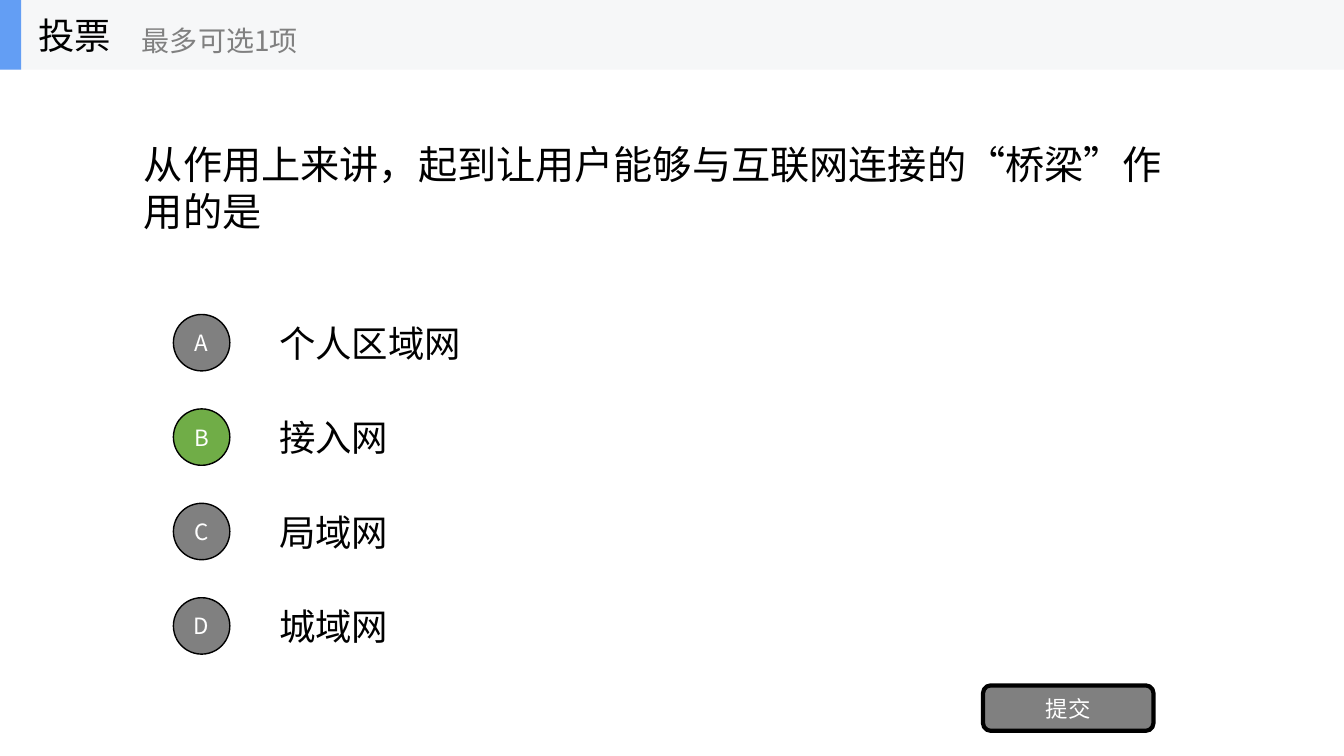
from dataclasses import dataclass

from lxml.etree import SubElement
from pptx import Presentation
from pptx.dml.color import RGBColor
from pptx.enum.shapes import MSO_SHAPE as Shape
from pptx.enum.text import MSO_ANCHOR as Anchor, PP_ALIGN as Align
from pptx.oxml.ns import qn
from pptx.util import Inches, Pt


@dataclass(frozen=True)
class Theme:
    """Colours, font and type sizes of the slide."""
    font: str = "Noto Sans CJK SC"
    ink: str = "000000"
    grey: str = "808080"
    white: str = "FFFFFF"
    chosen: str = "70AD47"
    band: str = "F6F7F8"
    accent: str = "639EF4"
    question_size: int = 28
    body_size: int = 26
    hint_size: int = 20
    label_size: int = 16


THEME = Theme()
OPTIONS = [("A", "个人区域网"), ("B", "接入网"), ("C", "局域网"), ("D", "城域网")]
ANSWER = "B"


def write(shape, text, size, color, align=Align.LEFT, wrap=True):
    """Fill a shape with one vertically centred paragraph."""
    frame = shape.text_frame
    frame.word_wrap = wrap
    frame.vertical_anchor = Anchor.MIDDLE
    paragraph = frame.paragraphs[0]
    paragraph.text = text
    paragraph.alignment = align
    font = paragraph.font
    font.size = Pt(size)
    font.color.rgb = RGBColor.from_string(color)
    font.name = THEME.font
    defaults = paragraph._p.pPr.find(qn("a:defRPr"))
    SubElement(defaults, qn("a:ea")).set("typeface", THEME.font)


def add_text(shapes, box, text, size, color=THEME.ink, wrap=True):
    """Place a text box in a box given in inches."""
    write(shapes.add_textbox(*map(Inches, box)), text, size, color, wrap=wrap)


def add_block(shapes, kind, box, fill, line_width=0):
    """Place a filled shape, outlined when a line width is given."""
    block = shapes.add_shape(kind, *map(Inches, box))
    block.shadow.inherit = False
    block.fill.solid()
    block.fill.fore_color.rgb = RGBColor.from_string(fill)
    if line_width:
        block.line.color.rgb = RGBColor.from_string(THEME.ink)
        block.line.width = Pt(line_width)
    else:
        block.line.fill.background()
    return block


def add_button(shapes, kind, box, text, fill, line_width):
    """Place an outlined shape with a centred white label."""
    button = add_block(shapes, kind, box, fill, line_width)
    write(button, text, THEME.label_size, THEME.white, Align.CENTER)


def add_header(shapes, left, top, width, height):
    """Draw the title band with its accent, title and hint."""
    header = shapes.add_group_shape().shapes
    add_block(header, Shape.RECTANGLE, (left, top, width, height), THEME.band)
    add_block(header, Shape.RECTANGLE, (left, top, 0.21, height), THEME.accent)
    add_text(header, (left + 0.28, top, 2.08, height), "投票",
             THEME.body_size, wrap=False)
    add_text(header, (left + 1.31, top + 0.12, 2.5, 0.56), "最多可选1项",
             THEME.hint_size, THEME.grey, wrap=False)


def add_options(shapes, left, top, width, height):
    """Stack the lettered options at equal steps in the box."""
    row_height, badge = 0.7, 0.56
    step = (height - row_height) / (len(OPTIONS) - 1)
    for row, (letter, option) in enumerate(OPTIONS):
        row_top = top + row * step
        add_text(shapes, (left + 0.95, row_top, width - 0.95, row_height),
                 option, THEME.body_size)
        fill = THEME.chosen if letter == ANSWER else THEME.grey
        badge_top = row_top + (row_height - badge) / 2
        add_button(shapes, Shape.OVAL, (left, badge_top, badge, badge),
                   letter, fill, 1)


def add_poll(shapes, left, top, width, height):
    """Lay out the question, its options and the submit button."""
    add_text(shapes, (left, top, width, 2.34),
             "从作用上来讲，起到让用户能够与互联网连接的“桥梁”作用的是",
             THEME.question_size)
    add_options(shapes, left + 0.39, top + 2.36, width - 0.39, 3.51)
    add_button(shapes, Shape.ROUNDED_RECTANGLE,
               (left + 8.42, top + height - 0.45, 1.69, 0.45),
               "提交", THEME.grey, 3)


def main():
    """Build and save the poll slide."""
    deck = Presentation()
    deck.slide_width, deck.slide_height = Inches(13.33), Inches(7.5)
    shapes = deck.slides.add_slide(deck.slide_layouts[6]).shapes
    add_poll(shapes, 1.33, 0.69, 10.67, 6.56)
    add_header(shapes, 0, 0, 13.33, 0.69)
    deck.save("out.pptx")


if __name__ == "__main__":
    main()
